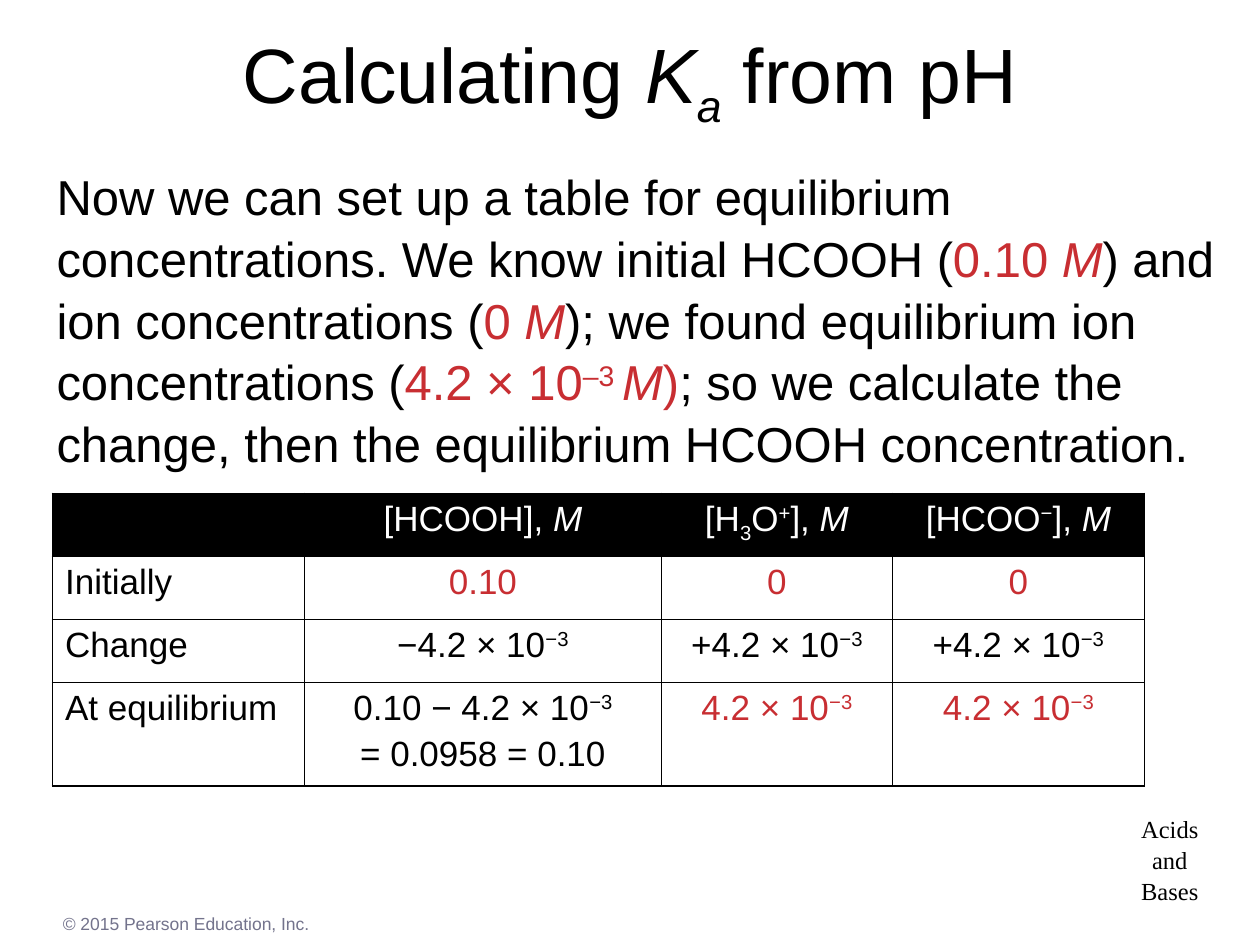
from dataclasses import dataclass

from lxml.etree import SubElement
from pptx import Presentation
from pptx.dml.color import RGBColor
from pptx.enum.text import MSO_ANCHOR, PP_ALIGN
from pptx.oxml.ns import qn
from pptx.util import Pt

COLORS = {"ink": "000000", "paper": "FFFFFF", "value": "C82E32", "footer": "73738C"}
SUBSCRIPT, SUPERSCRIPT = -25, 30


@dataclass(frozen=True)
class Span:
    text: str
    color: str = "ink"
    italic: bool = False
    baseline: int = 0


Line = list[Span]


@dataclass(frozen=True)
class Style:
    size: float
    align: PP_ALIGN = PP_ALIGN.LEFT
    font: str = "Arial"
    spacing: float = 1.0
    gap: float = 0


@dataclass(frozen=True)
class TextBlock:
    left: float
    top: float
    width: float
    height: float
    style: Style
    lines: list[Line]
    anchor: MSO_ANCHOR = MSO_ANCHOR.TOP
    wrap: bool = True


def plain(text: str, color: str = "ink") -> Line:
    return [Span(text, color)]


def power(text: str, color: str = "ink") -> Line:
    return [Span(text, color), Span("−3", color, baseline=SUPERSCRIPT)]


def heading(*spans: tuple[str, int]) -> Line:
    formula = [Span(text, "paper", baseline=baseline) for text, baseline in spans]
    return formula + [Span("], ", "paper"), Span("M", "paper", True)]


def fill_frame(frame, lines: list[Line], style: Style) -> None:
    for index, line in enumerate(lines):
        para = frame.add_paragraph() if index else frame.paragraphs[0]
        para.alignment = style.align
        para.line_spacing = style.spacing
        if index:
            para.space_before = Pt(style.gap)
        for span in line:
            run = para.add_run()
            run.text = span.text
            run.font.name = style.font
            run.font.size = Pt(style.size)
            run.font.bold = False
            run.font.italic = span.italic
            run.font.color.rgb = RGBColor.from_string(COLORS[span.color])
            if span.baseline:
                run._r.get_or_add_rPr().set("baseline", str(span.baseline * 1000))


def draw_text(slide, block: TextBlock) -> None:
    box = slide.shapes.add_textbox(
        Pt(block.left), Pt(block.top), Pt(block.width), Pt(block.height)
    )
    box.text_frame.word_wrap = block.wrap
    box.text_frame.vertical_anchor = block.anchor
    fill_frame(box.text_frame, block.lines, block.style)


def draw_borders(cell, color: str, width: float) -> None:
    properties = cell._tc.get_or_add_tcPr()
    for side in ("lnL", "lnR", "lnT", "lnB"):
        border = SubElement(properties, qn(f"a:{side}"), w=str(Pt(width)))
        fill = SubElement(border, qn("a:solidFill"))
        SubElement(fill, qn("a:srgbClr"), val=COLORS[color])


def draw_table(
    slide,
    left: float,
    top: float,
    columns: list[float],
    heights: list[float],
    rows: list[list[list[Line]]],
) -> None:
    table = slide.shapes.add_table(
        len(rows), len(columns), Pt(left), Pt(top), Pt(sum(columns)), Pt(sum(heights))
    ).table
    table.first_row = False
    table.horz_banding = False
    for column, width in zip(table.columns, columns):
        column.width = Pt(width)
    for row, height in zip(table.rows, heights):
        row.height = Pt(height)
    for row_index, row in enumerate(rows):
        for column_index, lines in enumerate(row):
            cell = table.cell(row_index, column_index)
            draw_borders(cell, "ink", 1)
            if row_index == 0:
                cell.fill.solid()
                cell.fill.fore_color.rgb = RGBColor.from_string(COLORS["ink"])
            else:
                cell.fill.background()
            align = PP_ALIGN.CENTER if column_index else PP_ALIGN.LEFT
            fill_frame(cell.text_frame, lines, Style(20, align, gap=4))


TEXT_BLOCKS = [
    TextBlock(
        645, 460.8, 47, 57.6,
        Style(14, PP_ALIGN.CENTER, "Times New Roman", 1.05),
        [plain(word) for word in ("Acids", "and", "Bases")],
        wrap=False,
    ),
    TextBlock(
        28.8, 518.4, 648, 19.4, Style(10),
        [plain("© 2015 Pearson Education, Inc.", "footer")],
    ),
    TextBlock(
        0, 0, 720, 90, Style(44, PP_ALIGN.CENTER),
        [[
            Span("Calculating "),
            Span("K", italic=True),
            Span("a", italic=True, baseline=SUBSCRIPT),
            Span(" from pH"),
        ]],
        MSO_ANCHOR.MIDDLE,
    ),
    TextBlock(
        25.2, 90, 682.6, 177, Style(28, spacing=1.05),
        [[
            Span(
                "Now we can set up a table for equilibrium concentrations. "
                "We know initial HCOOH ("
            ),
            Span("0.10 ", "value"),
            Span("M", "value", True),
            Span(") and ion concentrations ("),
            Span("0 ", "value"),
            Span("M", "value", True),
            Span("); we found equilibrium ion concentrations ("),
            Span("4.2 × 10", "value"),
            Span("–3 ", "value", baseline=SUPERSCRIPT),
            Span("M", "value", True),
            Span(")", "value"),
            Span("; so we calculate the change, then the equilibrium HCOOH concentration."),
        ]],
    ),
]

CONCENTRATIONS = [
    [
        [],
        [heading(("[HCOOH", 0))],
        [heading(("[H", 0), ("3", SUBSCRIPT), ("O", 0), ("+", SUPERSCRIPT))],
        [heading(("[HCOO", 0), ("−", SUPERSCRIPT))],
    ],
    [[plain("Initially")], [plain("0.10", "value")], *[[plain("0", "value")]] * 2],
    [[plain("Change")], [power("−4.2 × 10")], *[[power("+4.2 × 10")]] * 2],
    [
        [plain("At equilibrium")],
        [power("0.10 − 4.2 × 10"), plain("= 0.0958 = 0.10")],
        *[[power("4.2 × 10", "value")]] * 2,
    ],
]


def main() -> None:
    deck = Presentation()
    deck.slide_width, deck.slide_height = Pt(720), Pt(540)
    page = deck.slides.add_slide(deck.slide_layouts[6])
    for block in TEXT_BLOCKS:
        draw_text(page, block)
    draw_table(page, 30, 282, [144, 204, 132, 144], [36, 36, 36, 59], CONCENTRATIONS)
    deck.save("out.pptx")


if __name__ == "__main__":
    main()
